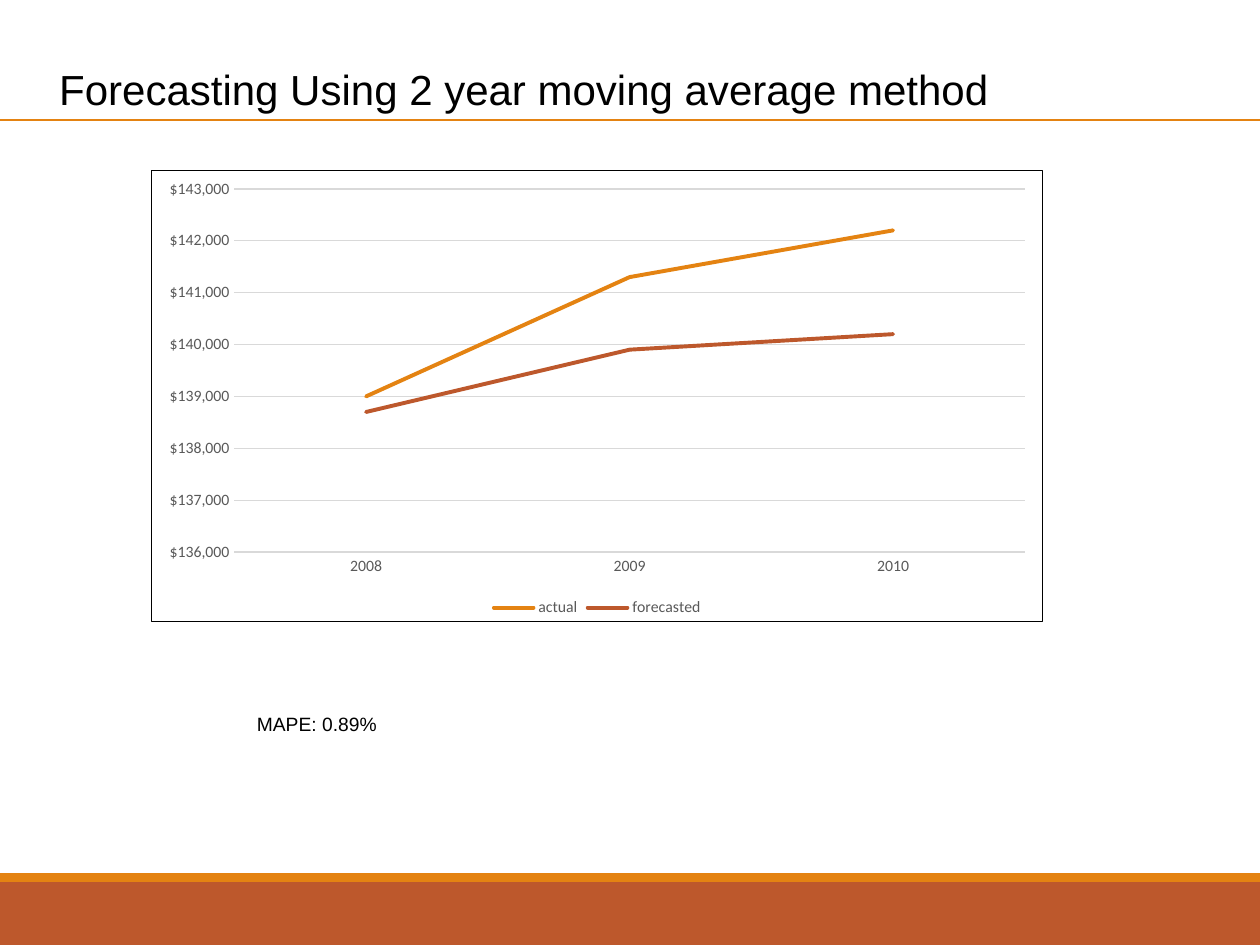
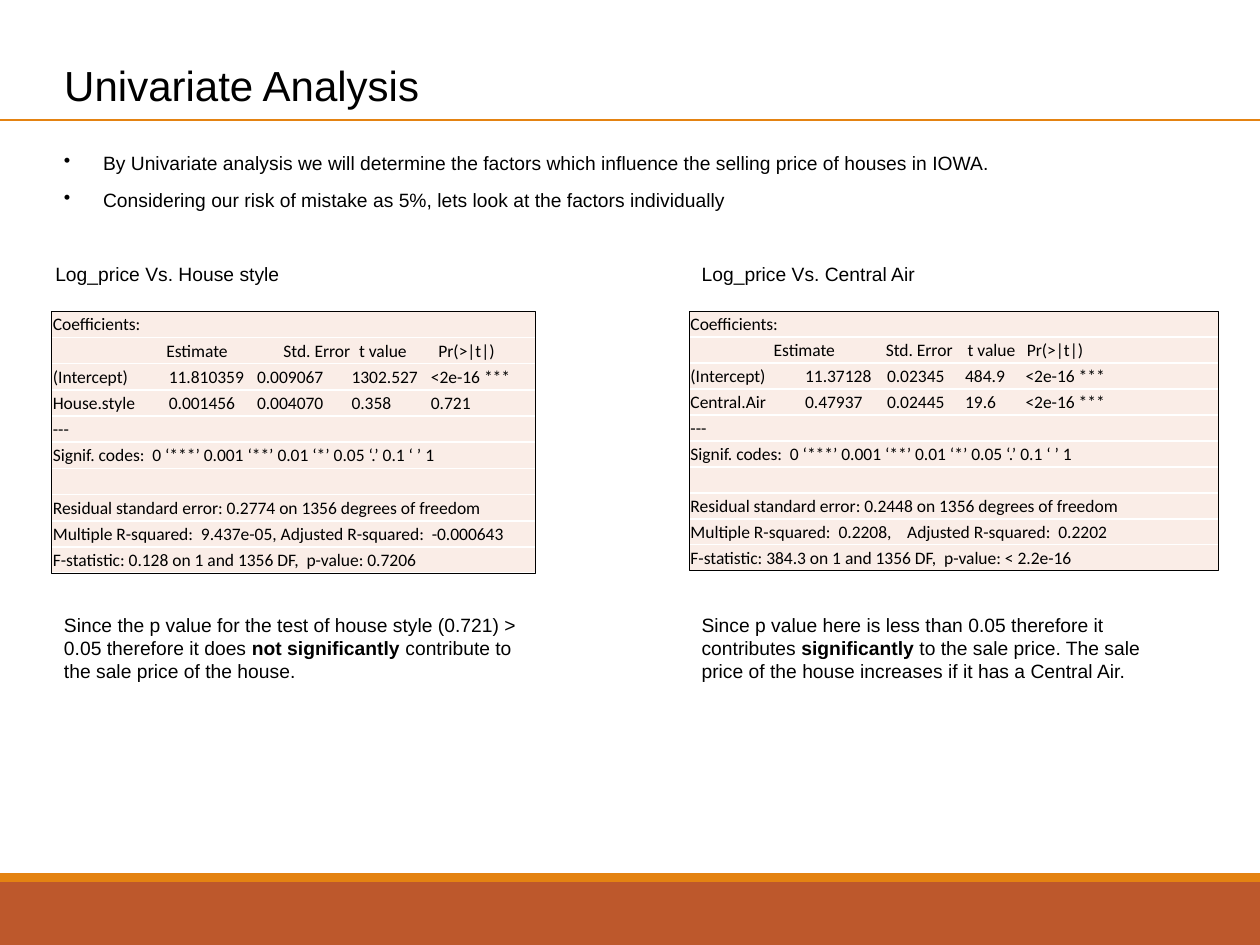
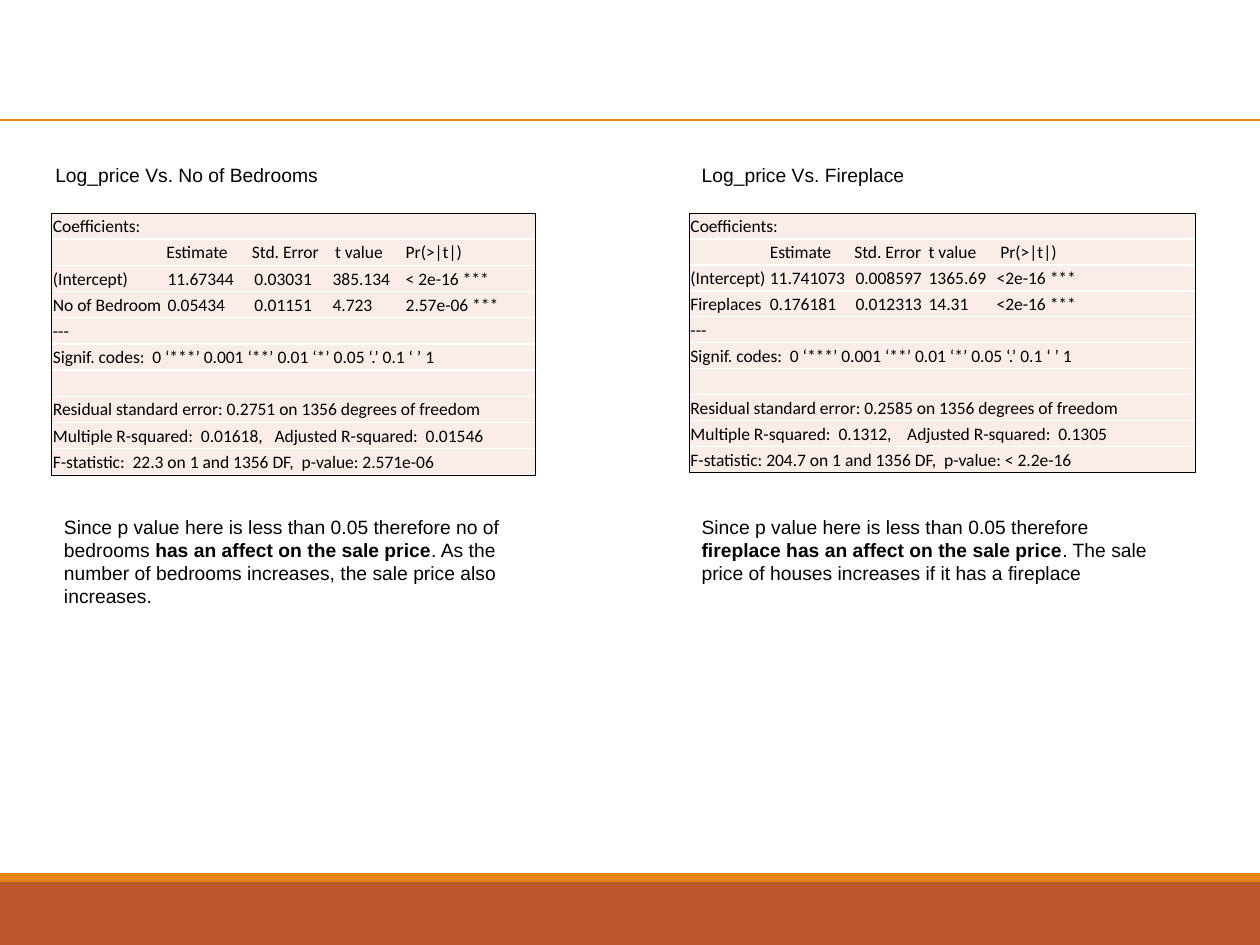
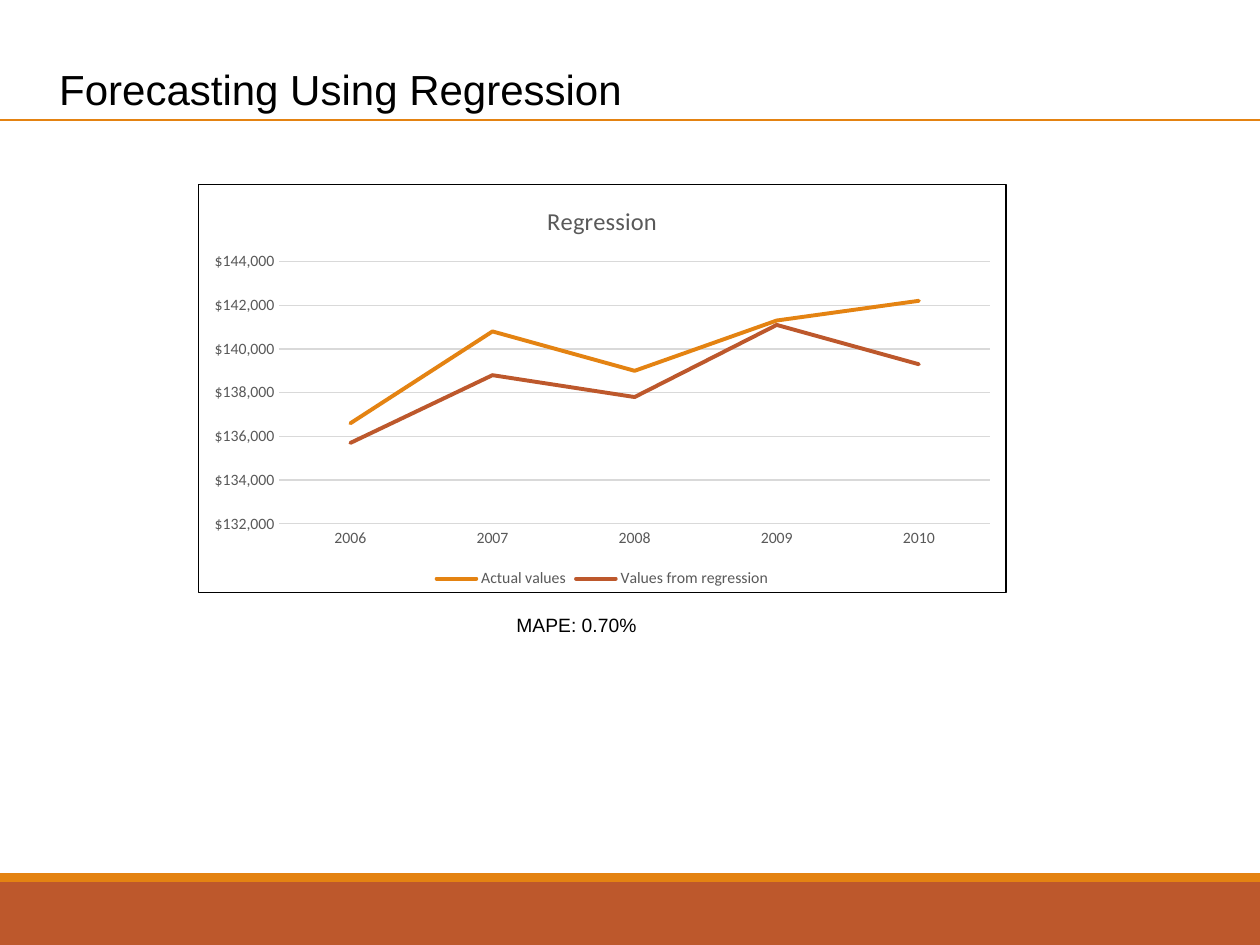
import pptx
import pptx.util
import pptx.dml.color
import pptx.chart.data
import pptx.enum.chart
import pptx.enum.shapes
import pptx.enum.text
import pptx.oxml
import pptx.oxml.ns
from lxml import etree

Inches, Pt = pptx.util.Inches, pptx.util.Pt
RGB = pptx.dml.color.RGBColor
qn = pptx.oxml.ns.qn

# Shared look
ORANGE = RGB(0xE4, 0x83, 0x12)
RUST = RGB(0xBD, 0x58, 0x2C)
BLUSH = RGB(0xFA, 0xED, 0xE7)
GREY = RGB(0x59, 0x59, 0x59)
PALE = RGB(0xD9, 0xD9, 0xD9)
BLACK = RGB(0, 0, 0)
SANS, BODY = "Arial", "Calibri"

# Content: charts
MOVING = {
    "title": None, "box": (1.2, 1.35, 7.08, 3.59),
    "years": ["2008", "2009", "2010"], "scale": (136000, 143000, 1000),
    "series": [("actual", (139000, 141300, 142200)),
               ("forecasted", (138700, 139900, 140200))],
}
REGRESS = {
    "title": "Regression", "box": (1.57, 1.46, 6.42, 3.25),
    "years": ["2006", "2007", "2008", "2009", "2010"],
    "scale": (132000, 144000, 2000),
    "series": [("Actual values", (136600, 140800, 139000, 141300, 142200)),
               ("Values from regression",
                (135700, 138800, 137800, 141100, 139300))],
}

# Content: fitted models; "head", "vals" and "fit" are tab stops in inches
HEADS = ("Estimate", "Std. Error", "t value", "Pr(>|t|)")
CODES = "Signif. codes:  0 ‘***’ 0.001 ‘**’ 0.01 ‘*’ 0.05 ‘.’ 0.1 ‘ ’ 1"
STYLE = {
    "name": "House style", "size": (3.84, 2.08),
    "head": (0.9, 1.83, 2.43, 3.06), "vals": (0.92, 1.62, 2.37, 3.0), "fit": (),
    "rows": [("(Intercept)", "11.810359", "0.009067", "1302.527", "<2e-16 ***"),
             ("House.style", "0.001456", "0.004070", "0.358", "0.721")],
    "error": "0.2774",
    "square": "Multiple R-squared:  9.437e-05, Adjusted R-squared:  -0.000643",
    "test": "F-statistic: 0.128 on 1 and 1356 DF,  p-value: 0.7206",
    "note": ("Since the p value for the test of house style (0.721) > 0.05 "
             "therefore it does ", "not significantly ",
             "contribute to the sale price of the house."),
}
AIR = {
    "name": "Central Air", "size": (4.2, 2.06),
    "head": (0.66, 1.55, 2.2, 2.67), "vals": (0.91, 1.56, 2.18, 2.66),
    "fit": (1.72,),
    "rows": [("(Intercept)", "11.37128", "0.02345", "484.9", "<2e-16 ***"),
             ("Central.Air", "0.47937", "0.02445", "19.6", "<2e-16 ***")],
    "error": "0.2448",
    "square": "Multiple R-squared:  0.2208,\tAdjusted R-squared:  0.2202",
    "test": "F-statistic: 384.3 on 1 and 1356 DF,  p-value: < 2.2e-16",
    "note": ("Since p value here is less than 0.05 therefore it contributes ",
             "significantly", " to the sale price. The sale price of the house "
             "increases if it has a Central Air."),
}
BEDS = {
    "name": "No of Bedrooms", "size": (3.84, 2.08),
    "head": (0.9, 1.58, 2.24, 2.8), "vals": (0.91, 1.6, 2.22, 2.8),
    "fit": (1.76,),
    "rows": [("(Intercept)", "11.67344", "0.03031", "385.134", "< 2e-16 ***"),
             ("No of Bedroom", "0.05434", "0.01151", "4.723", "2.57e-06 ***")],
    "error": "0.2751",
    "square": "Multiple R-squared:  0.01618,\tAdjusted R-squared:  0.01546",
    "test": "F-statistic:  22.3 on 1 and 1356 DF,  p-value: 2.571e-06",
    "note": ("Since p value here is less than 0.05 therefore no of bedrooms ",
             "has an affect on the sale price", ". As the number of bedrooms "
             "increases, the sale price also increases."),
}
FIRE = {
    "name": "Fireplace", "size": (4.02, 2.06),
    "head": (0.63, 1.3, 1.89, 2.46), "vals": (0.63, 1.31, 1.89, 2.43),
    "fit": (1.72,),
    "rows": [("(Intercept)", "11.741073", "0.008597", "1365.69", "<2e-16 ***"),
             ("Fireplaces", "0.176181", "0.012313", "14.31", "<2e-16 ***")],
    "error": "0.2585",
    "square": "Multiple R-squared:  0.1312,\tAdjusted R-squared:  0.1305",
    "test": "F-statistic: 204.7 on 1 and 1356 DF,  p-value: < 2.2e-16",
    "note": ("Since p value here is less than 0.05 therefore ",
             "fireplace has an affect on the sale price",
             ". The sale price of houses increases if it has a fireplace"),
}
POINTS = [
    "By Univariate analysis we will determine the factors which influence "
    "the selling price of houses in IOWA.",
    "Considering our risk of mistake as 5%, lets look at the factors "
    "individually",
]

deck = pptx.Presentation()
deck.slide_width, deck.slide_height = Inches(10), Inches(7.5)


def inch(*nums):
    return [Inches(n) for n in nums]


def add_run(para, text, size=11, face=SANS, bold=False):
    run = para.add_run()
    run.text = text
    font = run.font
    font.size, font.name, font.bold = Pt(size), face, bold
    font.color.rgb = BLACK


def add_text(slide, box, paras):
    """Each paragraph is a sequence of runs; every second run is bold."""
    frame = slide.shapes.add_textbox(*inch(*box)).text_frame
    frame.word_wrap = True
    for i, runs in enumerate(paras):
        para = frame.add_paragraph() if i else frame.paragraphs[0]
        for j, text in enumerate(runs):
            add_run(para, text, bold=j % 2 == 1)
    return frame


def add_rect(slide, box, fill=None, line=None):
    kind = pptx.enum.shapes.MSO_SHAPE.RECTANGLE
    rect = slide.shapes.add_shape(kind, *inch(*box))
    rect.shadow.inherit = False
    if fill is None:
        rect.fill.background()
    else:
        rect.fill.solid()
        rect.fill.fore_color.rgb = fill
    if line is None:
        rect.line.fill.background()
    else:
        rect.line.color.rgb, rect.line.width = line, Pt(0.25)
    return rect


def add_bands(slide):
    """Move the footer bands to the master, behind everything."""
    tree = deck.slide_master.shapes._spTree
    for box, fill in (((0, 6.93, 10, 0.07), ORANGE), ((0, 7, 10, 0.5), RUST)):
        tree.insert(2, add_rect(slide, box, fill)._element)


def add_slide(title=None, box=(0.37, 0.45, 9.18, 0.5)):
    slide = deck.slides.add_slide(deck.slide_layouts[5 if title else 6])
    if title:
        head = slide.shapes.title
        head.left, head.top, head.width, head.height = inch(*box)
        frame = head.text_frame
        frame.word_wrap = True
        frame.auto_size = pptx.enum.text.MSO_AUTO_SIZE.SHAPE_TO_FIT_TEXT
        frame.vertical_anchor = pptx.enum.text.MSO_ANCHOR.TOP
        para = frame.paragraphs[0]
        para.alignment = pptx.enum.text.PP_ALIGN.LEFT
        add_run(para, title, 24)
    rule = slide.shapes.add_connector(
        pptx.enum.shapes.MSO_CONNECTOR.STRAIGHT, *inch(0, 0.95, 10.02, 0.95))
    rule.line.color.rgb, rule.line.width = ORANGE, Pt(1.25)
    etree.SubElement(rule._element.spPr, qn("a:effectLst"))
    return slide


def set_font(font, size):
    font.size, font.name, font.bold = Pt(size), BODY, False
    font.color.rgb = GREY


def add_chart(slide, spec):
    data = pptx.chart.data.CategoryChartData()
    data.categories = spec["years"]
    for name, vals in spec["series"]:
        data.add_series(name, vals)
    chart = slide.shapes.add_chart(pptx.enum.chart.XL_CHART_TYPE.LINE,
                                   *inch(*spec["box"]), data).chart
    set_font(chart.font, 9)
    chart.has_title = bool(spec["title"])
    if spec["title"]:
        para = chart.chart_title.text_frame.paragraphs[0]
        run = para.add_run()
        run.text = spec["title"]
        set_font(run.font, 14)
    chart.has_legend = True
    chart.legend.position = pptx.enum.chart.XL_LEGEND_POSITION.BOTTOM
    chart.legend.include_in_layout = False
    set_font(chart.legend.font, 9)

    # Axes
    years, money = chart.category_axis, chart.value_axis
    for axis in (years, money):
        axis.major_tick_mark = pptx.enum.chart.XL_TICK_MARK.NONE
        axis.minor_tick_mark = pptx.enum.chart.XL_TICK_MARK.NONE
        set_font(axis.tick_labels.font, 9)
    money.minimum_scale, money.maximum_scale, money.major_unit = spec["scale"]
    money.tick_labels.number_format = "[$$-409]#,##0"
    money.tick_labels.number_format_is_linked = False
    money.format.line.fill.background()
    for line in (years.format.line, money.major_gridlines.format.line):
        line.color.rgb, line.width = PALE, Pt(0.75)

    # Series and outer border
    chart.plots[0].vary_by_categories = False
    for series, tint in zip(chart.plots[0].series, (ORANGE, RUST)):
        series.smooth = False
        line = series.format.line
        line.color.rgb, line.width = tint, Pt(2.25)
        series._element.find(".//" + qn("a:ln")).set("cap", "rnd")
    border = pptx.oxml.parse_xml(
        f'<c:spPr {pptx.oxml.ns.nsdecls("c", "a")}><a:noFill/>'
        f'<a:ln w="{Pt(0.75)}"><a:solidFill><a:srgbClr val="{BLACK}"/>'
        '</a:solidFill></a:ln></c:spPr>')
    chart._chartSpace.find(qn("c:chart")).addnext(border)


def set_tabs(para, stops):
    tabs = etree.SubElement(para._p.get_or_add_pPr(), qn("a:tabLst"))
    for stop in stops:
        etree.SubElement(tabs, qn("a:tab"), pos=str(Inches(stop)), algn="l")


def add_model(slide, model, left, top, inset=0):
    """Heading, coefficient table with frame, and finding."""
    wide, high = model["size"]
    lines = [("Coefficients:", ()), ("\t" + "\t".join(HEADS), model["head"])]
    lines += [("\t".join(row), model["vals"]) for row in model["rows"]]
    lines += [("---", ()), (CODES, ()), ("", ()),
              (f"Residual standard error: {model['error']} on 1356 degrees "
               "of freedom", ()),
              (model["square"], model["fit"]), (model["test"], ())]
    box = (left, top, wide, high)
    table = slide.shapes.add_table(len(lines), 1, *inch(*box)).table
    table.first_row = table.horz_banding = False
    for i, (text, stops) in enumerate(lines):
        table.rows[i].height = Inches(high / len(lines))
        cell = table.cell(i, 0)
        cell.fill.solid()
        cell.fill.fore_color.rgb = BLUSH
        cell.vertical_anchor = pptx.enum.text.MSO_ANCHOR.MIDDLE
        cell.margin_left = cell.margin_right = cell.margin_top = Inches(0.01)
        cell.margin_bottom = 0
        para = cell.text_frame.paragraphs[0]
        if stops:
            set_tabs(para, stops)
        if text:
            add_run(para, text, 10, BODY)
        else:
            etree.SubElement(para._p, qn("a:endParaRPr"), sz="1000")
    add_rect(slide, box, line=BLACK)
    add_text(slide, (left - inset, top - 0.44, 3.12, 0.29),
             [["Log_price Vs. " + model["name"]]])
    add_text(slide, (left, top + 2.35, 3.84, 0.66), [model["note"]])


def add_pair(slide, pair, top):
    add_model(slide, pair[0], 0.41, top, inset=0.07)
    add_model(slide, pair[1], 5.47, top)


# Moving average
slide = add_slide("Forecasting Using 2 year moving average method")
add_bands(slide)
add_chart(slide, MOVING)
add_text(slide, (1.94, 5.6, 6.44, 0.29), [["MAPE: 0.89%"]])

# Univariate analysis
slide = add_slide("Univariate Analysis", (0.41, 0.42, 8.61, 0.5))
frame = add_text(slide, (0.41, 1.15, 7.6, 0.59), [[p] for p in POINTS])
for para in frame.paragraphs:
    props = para._p.get_or_add_pPr()
    props.set("marL", str(Inches(0.31)))
    props.set("indent", str(-Inches(0.31)))
    etree.SubElement(props, qn("a:buChar"), char="•")
frame.paragraphs[1].space_before = Pt(8)
add_pair(slide, (STYLE, AIR), 2.47)

# Bedrooms and fireplace
add_pair(add_slide(), (BEDS, FIRE), 1.69)

# Regression
slide = add_slide("Forecasting Using Regression")
add_chart(slide, REGRESS)
add_text(slide, (4, 4.82, 2.81, 0.29), [["MAPE: 0.70%"]])

deck.save("out.pptx")
